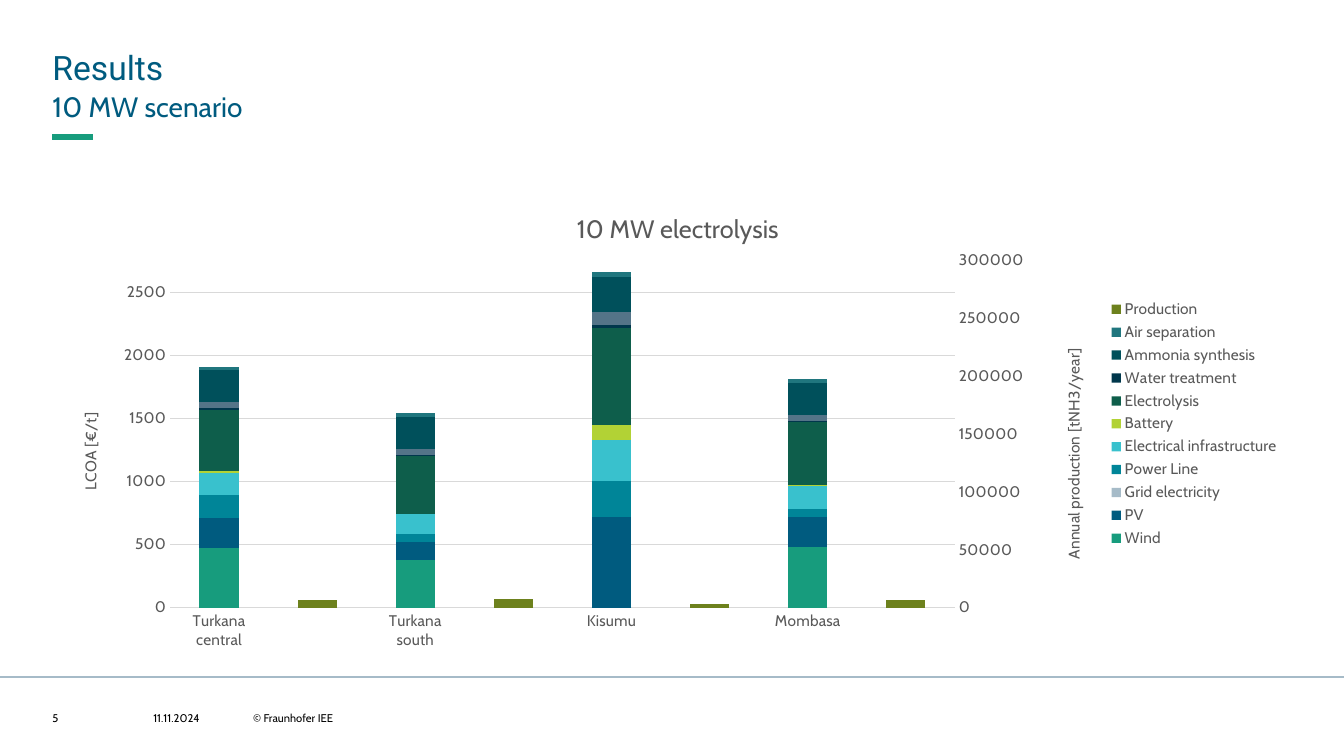
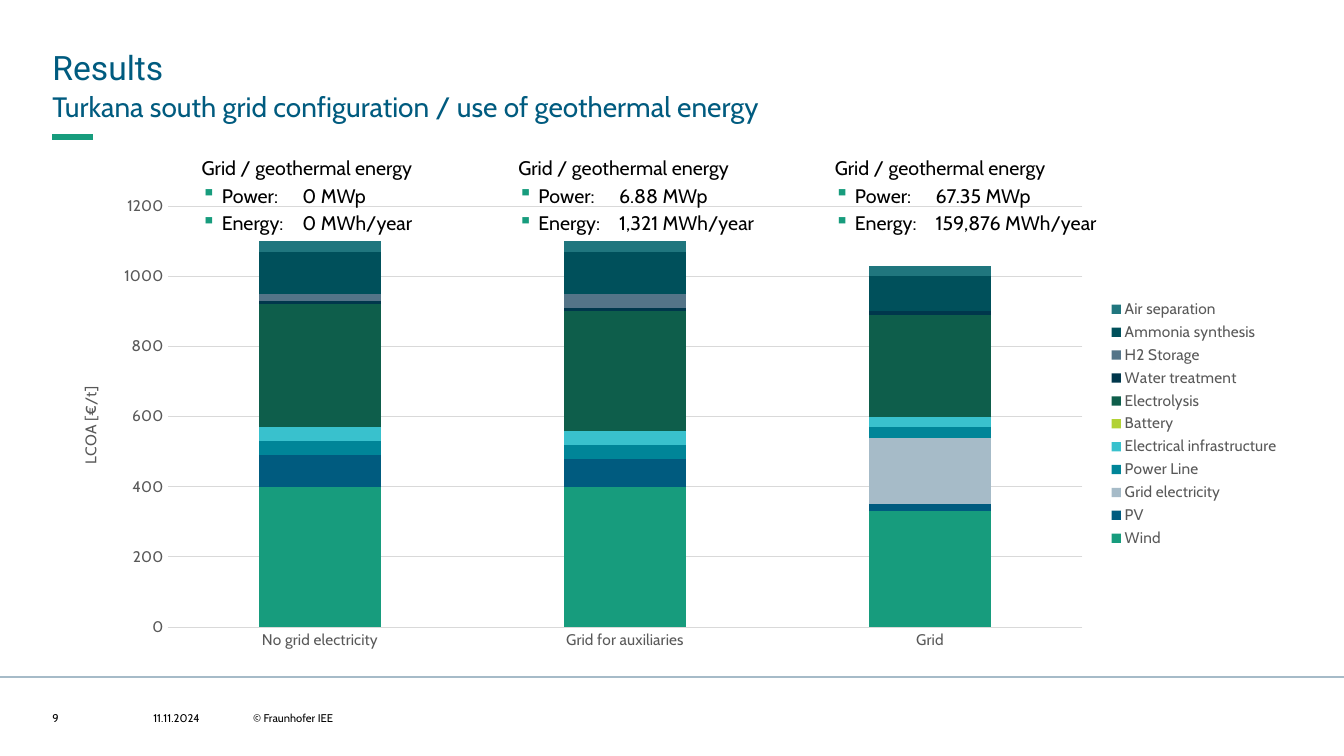
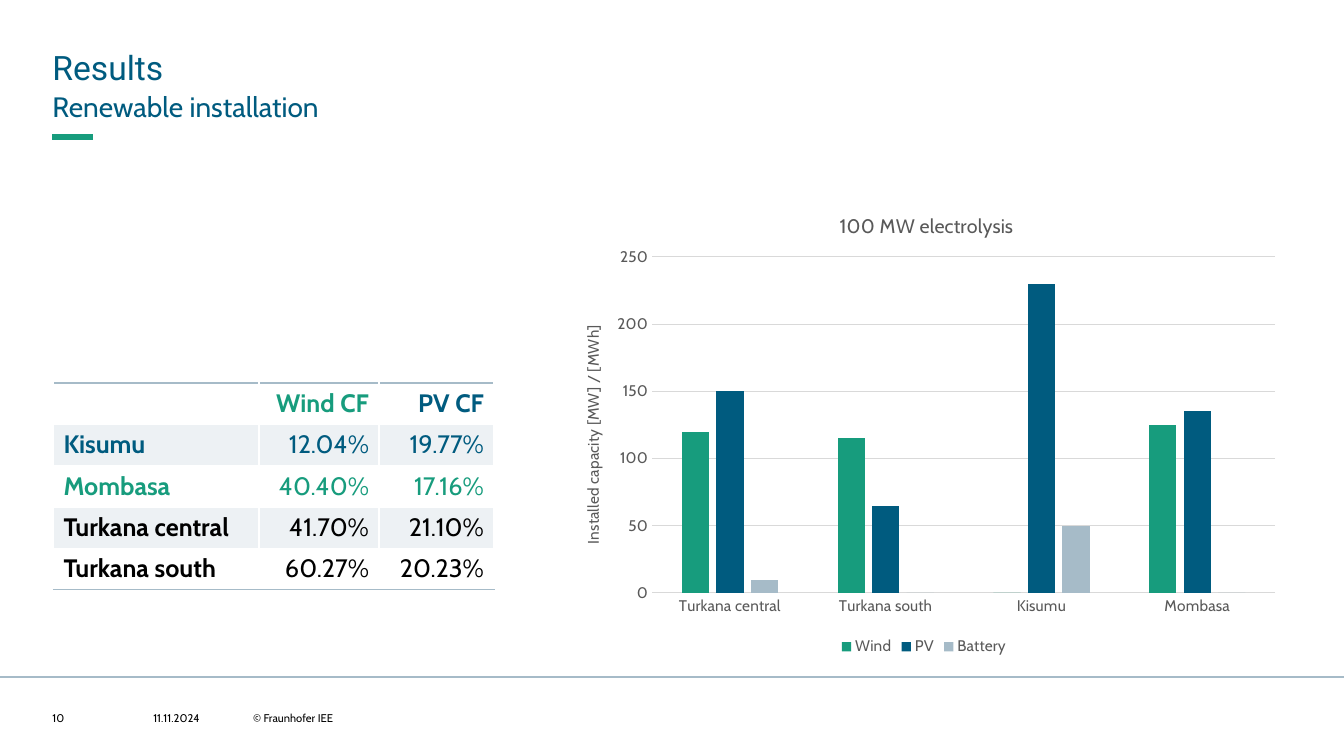
from copy import deepcopy

from lxml.etree import SubElement
from pptx import Presentation
from pptx.chart.axis import ValueAxis
from pptx.chart.data import CategoryChartData
from pptx.dml.color import RGBColor
from pptx.enum.chart import XL_CHART_TYPE, XL_LEGEND_POSITION, XL_TICK_MARK
from pptx.enum.shapes import MSO_CONNECTOR
from pptx.enum.text import MSO_ANCHOR, PP_ALIGN
from pptx.oxml import parse_xml
from pptx.oxml.ns import nsdecls, qn
from pptx.util import Inches, Pt

WIDTH, HEIGHT = 13.33, 7.5
LEFT, CONTENT_WIDTH = 0.52, 12.28
CHART_TOP, CHART_HEIGHT = 1.86, 4.69
FONT, TITLE_FONT = "Cabin", "Roboto"
GREEN, BLUE, PALE, BLACK = "179C7D", "005B7F", "A6BBC8", "000000"
GREY, GRID = "595959", "D9D9D9"

FOOTER_TOP = 7.06
DATE, COPYRIGHT = "11.11.2024", "© Fraunhofer IEE"

SITES = ["Turkana central", "Turkana south", "Kisumu", "Mombasa"]
GRID_CASES = ["No grid electricity", "Grid for auxiliaries", "Grid"]
# name, colour, cost per site at 10 MW, cost per grid case
COMPONENTS = [
    ("Wind", GREEN, [470, 380, 0, 480], [400, 400, 330]),
    ("PV", BLUE, [240, 140, 720, 240], [90, 80, 20]),
    ("Grid electricity", PALE, [0, 0, 0, 0], [0, 0, 190]),
    ("Power Line", "008598", [180, 60, 280, 60], [40, 40, 30]),
    ("Electrical infrastructure", "39C1CD", [180, 160, 330, 180], [40, 40, 30]),
    ("Battery", "B2D235", [10, 0, 120, 10], [0, 0, 0]),
    ("Electrolysis", "0E5E4B", [490, 460, 770, 500], [350, 340, 290]),
    ("Water treatment", "00374C", [10, 10, 20, 10], [10, 10, 10]),
    ("H2 Storage", "547488", [50, 50, 100, 50], [20, 40, 0]),
    ("Ammonia synthesis", "00505B", [250, 250, 280, 250], [120, 120, 100]),
    ("Air separation", "20767E", [30, 30, 40, 30], [30, 30, 30]),
]
PRODUCTION = ("Production", "6D811D", [6500, 7000, 3500, 6300])
CAPACITIES = [
    ("Wind", GREEN, [120, 115, 0, 125]),
    ("PV", BLUE, [150, 65, 230, 135]),
    ("Battery", PALE, [10, 0, 50, 0]),
]
GRID_NOTES = [
    ("0 MWp", "0 MWh/year"),
    ("6.88 MWp", "1,321 MWh/year"),
    ("67.35 MWp", "159,876 MWh/year"),
]
NOTE_LEFT, NOTE_STEP = 2, 3.14

FACTOR_HEADER = [("", BLACK), ("Wind CF", GREEN), ("PV CF", BLUE)]
FACTOR_ROWS = [
    (BLUE, ["Kisumu", "12.04%", "19.77%"]),
    (GREEN, ["Mombasa", "40.40%", "17.16%"]),
    (BLACK, ["Turkana central", "41.70%", "21.10%"]),
    (BLACK, ["Turkana south", "60.27%", "20.23%"]),
]
FACTOR_COLUMNS, FACTOR_ROW = [2.04, 1.19, 1.14], 0.41


def rgb(value):
    return RGBColor.from_string(value)


def style_font(font, size, color=BLACK, name=FONT, bold=False):
    font.size, font.name, font.bold = Pt(size), name, bold
    font.color.rgb = rgb(color)


def add_run(paragraph, text, *style, **options):
    run = paragraph.add_run()
    run.text = text
    style_font(run.font, *style, **options)


def add_box(slide, left, top, width, height):
    frame = slide.shapes.add_textbox(*map(Inches, (left, top, width, height))).text_frame
    frame.word_wrap = True
    frame.margin_left = frame.margin_right = frame.margin_top = frame.margin_bottom = 0
    return frame


def add_line(slide, left, right, top, color, weight):
    line = slide.shapes.add_connector(
        MSO_CONNECTOR.STRAIGHT, *map(Inches, (left, top, right, top)))
    line.line.color.rgb = rgb(color)
    line.line.width = Pt(weight)
    SubElement(line._element.spPr, qn("a:effectLst"))


def add_slide(presentation, number, subtitle):
    """Add a slide with the shared heading, rules and footer."""
    slide = presentation.slides.add_slide(presentation.slide_layouts[6])
    add_line(slide, LEFT, LEFT + 0.4, 1.36, GREEN, 4)
    add_line(slide, 0, WIDTH, 6.72, PALE, 1.5)
    for text, top, height, size, font in [
            ("Results", 0.43, 0.42, 24, TITLE_FONT), (subtitle, 0.85, 0.35, 20, FONT)]:
        paragraph = add_box(slide, LEFT, top, CONTENT_WIDTH, height).paragraphs[0]
        paragraph.line_spacing = 1.1
        add_run(paragraph, text, size, BLUE, font)
    for text, left, width in [
            (str(number), LEFT, 0.79), (DATE, 1.52, 0.79), (COPYRIGHT, 2.51, 3.23)]:
        frame = add_box(slide, left, FOOTER_TOP, width, 0.13)
        frame.vertical_anchor = MSO_ANCHOR.MIDDLE
        add_run(frame.paragraphs[0], text, 8)
    return slide


def place(element, index, **shares):
    """Give a chart part a manual layout, in shares of the chart's size."""
    for old in element.findall(qn("c:layout")):
        element.remove(old)
    inner = '<c:layoutTarget val="inner"/>' if "w" in shares else ""
    modes = "".join(f'<c:{key}Mode val="edge"/>' for key in "xy")
    values = "".join(f'<c:{key} val="{value}"/>' for key, value in shares.items())
    element.insert(index, parse_xml(
        f'<c:layout {nsdecls("c")}><c:manualLayout>{inner}{modes}{values}'
        '</c:manualLayout></c:layout>'))


def set_title(title, text, size, x, y):
    frame = title.text_frame
    frame.clear()
    add_run(frame.paragraphs[0], text, size, GREY)
    place(title._element, 1, x=x, y=y)


def style_axis(axis):
    axis.major_tick_mark = axis.minor_tick_mark = XL_TICK_MARK.NONE
    style_font(axis.tick_labels.font, 11, GREY)


def style_value_axis(axis, title, x, y, top, step, number_format="0"):
    style_axis(axis)
    axis.format.line.fill.background()
    axis.minimum_scale, axis.maximum_scale, axis.major_unit = 0, top, step
    axis.tick_labels.number_format = number_format
    axis.tick_labels.number_format_is_linked = False
    set_title(axis.axis_title, title, 11, x, y)
    axis.axis_title.text_frame._txBody.bodyPr.set("rot", "-5400000")


def add_column_chart(slide, left, kind, categories, series, plot_area, value_axis,
                     gap, overlap, legend):
    data = CategoryChartData()
    data.categories = categories
    for name, _, values in series:
        data.add_series(name, values)
    width = LEFT + CONTENT_WIDTH - left
    chart = slide.shapes.add_chart(
        kind, *map(Inches, (left, CHART_TOP, width, CHART_HEIGHT)), data).chart
    style_font(chart.font, 10)
    chart.has_title = False
    plot = chart.plots[0]
    plot.vary_by_categories = False
    plot.gap_width, plot.overlap = gap, overlap
    for item, (_, color, _) in zip(plot.series, series):
        item.format.fill.solid()
        item.format.fill.fore_color.rgb = rgb(color)
        item.invert_if_negative = False
    style_axis(chart.category_axis)
    style_value_axis(chart.value_axis, *value_axis)
    chart.value_axis.has_major_gridlines = True
    for line in (chart.category_axis.format.line, chart.value_axis.major_gridlines.format.line):
        line.color.rgb = rgb(GRID)
        line.width = Pt(0.75)
    chart.has_legend = True
    chart.legend.position = legend
    chart.legend.include_in_layout = False
    style_font(chart.legend.font, 11, GREY)
    place(chart._chartSpace.chart.plotArea, 0, **dict(zip("xywh", plot_area)))
    return chart


def move_last_series_right(chart, value_axis):
    """Move the last series to a second column plot on a right-hand axis."""
    first = chart.plots[0]._element
    second = deepcopy(first)
    first.remove(first.findall(qn("c:ser"))[-1])
    for series in second.findall(qn("c:ser"))[:-1]:
        second.remove(series)
    first.addnext(second)
    axes = [chart.category_axis._element, chart.value_axis._element]
    copies = [deepcopy(axis) for axis in axes]
    ids = ["5001", "5002"]
    for axis_id, value in zip(second.findall(qn("c:axId")), ids):
        axis_id.set("val", value)
    for axis, own, other in zip(copies, ids, reversed(ids)):
        axis.find(qn("c:axId")).set("val", own)
        axis.find(qn("c:crossAx")).set("val", other)
    axes[-1].addnext(copies[1])
    copies[1].addnext(copies[0])
    copies[0].find(qn("c:delete")).set("val", "1")
    copies[1].find(qn("c:axPos")).set("val", "r")
    copies[1].find(qn("c:crosses")).set("val", "max")
    right_axis = ValueAxis(copies[1])
    right_axis.has_major_gridlines = False
    style_value_axis(right_axis, *value_axis)


def hide_legend_entry(chart, index):
    chart.legend._element.find(qn("c:legendPos")).addnext(parse_xml(
        f'<c:legendEntry {nsdecls("c")}><c:idx val="{index}"/><c:delete val="1"/>'
        '</c:legendEntry>'))


def add_grid_note(slide, left, power, energy):
    frame = add_box(slide, left, 1.51, 2.65, 0.82)
    lines = ["Grid / geothermal energy", f"Power:\t{power}", f"Energy:\t{energy}"]
    for index, text in enumerate(lines):
        paragraph = frame.add_paragraph() if index else frame.paragraphs[0]
        paragraph.line_spacing = Pt(19.6)
        if index:
            properties = paragraph._p.get_or_add_pPr()
            properties.set("marL", str(Inches(0.2)))
            properties.set("indent", str(-Inches(0.2)))
            color = SubElement(properties, qn("a:buClr"))
            SubElement(color, qn("a:srgbClr"), val=GREEN)
            SubElement(properties, qn("a:buChar"), char="▪")
        add_run(paragraph, text, 14)


def add_border(cell, side):
    cell._tc.get_or_add_tcPr().append(parse_xml(
        f'<a:{side} {nsdecls("a")} w="{Pt(1)}"><a:solidFill><a:srgbClr val="{PALE}"/>'
        f'</a:solidFill></a:{side}>'))


def fill_cell(cell, shaded):
    if not shaded:
        cell.fill.background()
        return
    cell.fill.solid()
    cell.fill.fore_color.rgb = rgb(PALE)
    color = cell._tc.tcPr.find(".//" + qn("a:srgbClr"))
    SubElement(color, qn("a:alpha"), val="20000")


def add_factor_table(slide):
    rows = [FACTOR_HEADER] + [[(text, color) for text in texts] for color, texts in FACTOR_ROWS]
    size = (sum(FACTOR_COLUMNS), FACTOR_ROW * len(rows))
    table = slide.shapes.add_table(
        len(rows), len(FACTOR_COLUMNS), *map(Inches, (0.53, 3.8, *size))).table
    table.first_row = table.horz_banding = False
    for column, width in zip(table.columns, FACTOR_COLUMNS):
        column.width = Inches(width)
    for row_index, row in enumerate(rows):
        table.rows[row_index].height = Inches(FACTOR_ROW)
        for column_index, (text, color) in enumerate(row):
            cell = table.cell(row_index, column_index)
            if row_index == 0:
                add_border(cell, "lnT")
            if row_index in (0, len(rows) - 1):
                add_border(cell, "lnB")
            fill_cell(cell, shaded=row_index % 2 == 1)
            paragraph = cell.text_frame.paragraphs[0]
            paragraph.alignment = PP_ALIGN.RIGHT if column_index else PP_ALIGN.LEFT
            if text:
                add_run(paragraph, text, 18, color, bold=row_index == 0 or column_index == 0)


def add_scenario_slide(presentation):
    slide = add_slide(presentation, 5, "10 MW scenario")
    categories = [label for site in SITES for label in (site, "")]
    series = [(name, color, [value for cost in costs for value in (cost, None)])
              for name, color, costs, _ in COMPONENTS]
    name, color, amounts = PRODUCTION
    series.append((name, color, [value for amount in amounts for value in (None, amount)]))
    chart = add_column_chart(
        slide, LEFT, XL_CHART_TYPE.COLUMN_STACKED, categories, series,
        (0.095, 0.155, 0.634, 0.734), ("LCOA [€/t]", 0.02, 0.47, 2750, 500),
        150, 100, XL_LEGEND_POSITION.RIGHT)
    set_title(chart.chart_title, "10 MW electrolysis", 18, 0.42, 0.04)
    move_last_series_right(
        chart, ("Annual production [tNH3/year]", 0.814, 0.335, 300000, 50000))
    hide_legend_entry(chart, 8)


def add_grid_slide(presentation):
    slide = add_slide(
        presentation, 9, "Turkana south grid configuration / use of geothermal energy")
    series = [(name, color, costs) for name, color, _, costs in COMPONENTS]
    add_column_chart(
        slide, LEFT, XL_CHART_TYPE.COLUMN_STACKED, GRID_CASES, series,
        (0.093, 0.04, 0.739, 0.89), ("LCOA [€/t]", 0.02, 0.415, 1200, 200),
        150, 100, XL_LEGEND_POSITION.RIGHT)
    for index, note in enumerate(GRID_NOTES):
        add_grid_note(slide, NOTE_LEFT + index * NOTE_STEP, *note)


def add_installation_slide(presentation):
    slide = add_slide(presentation, 10, "Renewable installation")
    add_factor_table(slide)
    chart = add_column_chart(
        slide, 5.53, XL_CHART_TYPE.COLUMN_CLUSTERED, SITES, CAPACITIES,
        (0.129, 0.147, 0.85, 0.711),
        ("Installed capacity [MW] / [MWh]", 0.03, 0.285, 250, 50, "#,##0"),
        219, -27, XL_LEGEND_POSITION.BOTTOM)
    set_title(chart.chart_title, "100 MW electrolysis", 14, 0.38, 0.045)


def main():
    presentation = Presentation()
    presentation.slide_width, presentation.slide_height = Inches(WIDTH), Inches(HEIGHT)
    add_scenario_slide(presentation)
    add_grid_slide(presentation)
    add_installation_slide(presentation)
    presentation.save("out.pptx")


if __name__ == "__main__":
    main()
